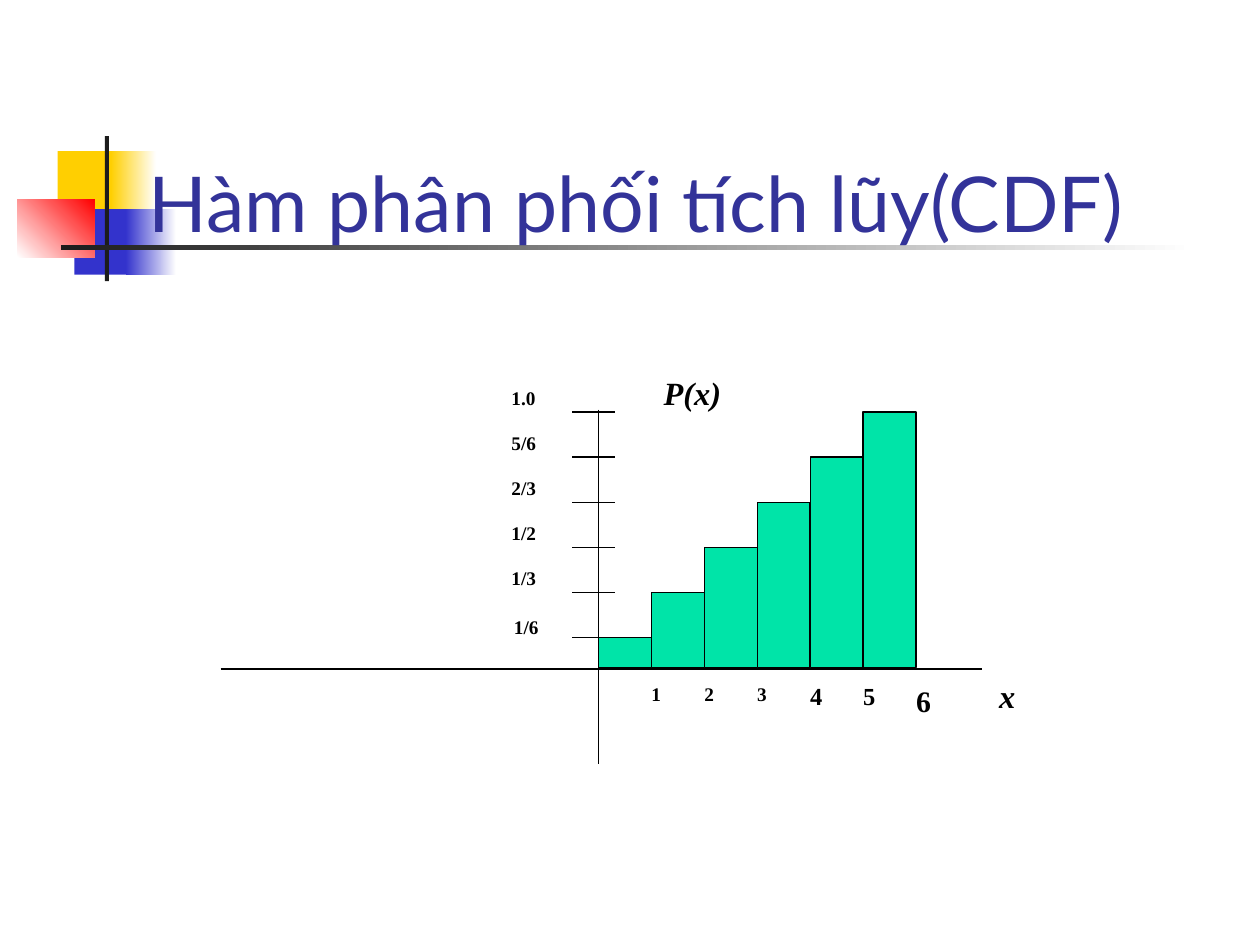
from lxml import etree
from pptx import Presentation
from pptx.dml.color import RGBColor
from pptx.enum.shapes import MSO_CONNECTOR, MSO_SHAPE
from pptx.enum.text import MSO_ANCHOR, PP_ALIGN
from pptx.oxml.ns import qn
from pptx.util import Pt

TITLE = "Hàm phân phối tích lũy(CDF)"
BLACK, GREEN = "000000", "00E4A8"
ORNAMENTS = [
    ((33, 86.4, 34.6, 37.4), ["FFCF01"], 0),
    ((63.4, 86.4, 25.9, 37.4), ["FFCF01", "FFFFFF"], 0),
    ((42.5, 119.5, 33.1, 37.4), ["3333CC"], 0),
    ((72, 119.5, 28.8, 37.4), ["3333CC", "FFFFFF"], 0),
    ((10, 113.8, 44, 33.1), ["FFFFFF", "FF0000"], 45),
    ((60, 77.8, 2.2, 82.8), ["1C1C1C"], 0),
    ((34.6, 140.2, 648, 2.6), ["1C1C1C", "FFFFFF"], 0),
]
STEPS = [
    {"value": "1", "size": 11, "chance": "1/6", "shift": (1.4, 2.2)},
    {"value": "2", "size": 11, "chance": "1/3", "shift": (0, 0)},
    {"value": "3", "size": 11, "chance": "1/2", "shift": (0, 0)},
    {"value": "4", "size": 14, "chance": "2/3", "shift": (0, 0)},
    {"value": "5", "size": 14, "chance": "5/6", "shift": (0, 0)},
    {"value": "6", "size": 17, "chance": "1.0", "shift": (0, 0)},
]
AXES = [(342, 234, 342, 436.5), (126, 382.3, 561, 382.3)]
AXIS_NAMES = [("x", (563.8, 385.2, 42.5, 31)), ("P(x)", (372.2, 212.4, 71.3, 31))]
ORIGIN_X, BASE_Y = 342, 381.6
BAR_WIDTH, FIRST_TOP, RISE = 30.24, 364.3, 25.78
TICK_LEFT, TICK_RIGHT = 327, 351.4
LABEL_LEFT, LABEL_LIFT, VALUE_TOP = 292.3, 12.2, 392.4


def color(code):
    return RGBColor.from_string(code)


def add_block(page, frame, fills, angle=0, outline=None):
    block = page.shapes.add_shape(MSO_SHAPE.RECTANGLE, *map(Pt, frame))
    block.shadow.inherit = False
    if len(fills) == 1:
        block.fill.solid()
        block.fill.fore_color.rgb = color(fills[0])
    else:
        block.fill.gradient()
        block.fill.gradient_angle = angle
        for stop, code in zip(block.fill.gradient_stops, fills):
            stop.color.rgb = color(code)
    if outline:
        block.line.color.rgb = color(outline)
        block.line.width = Pt(0.75)
    else:
        block.line.fill.background()


def add_line(page, ends):
    line = page.shapes.add_connector(MSO_CONNECTOR.STRAIGHT, *map(Pt, ends))
    line.line.color.rgb = color(BLACK)
    line.line.width = Pt(0.75)
    etree.SubElement(line.element.spPr, qn("a:effectLst"))


def write(box, text, code, **formats):
    para = box.text_frame.paragraphs[0]
    para.alignment = PP_ALIGN.LEFT
    span = para.add_run()
    span.text = text
    span.font.color.rgb = color(code)
    for name, value in formats.items():
        setattr(span.font, name, value)
    return para


def add_label(page, text, frame, size, inset=0, spacing=0.8, italic=False):
    box = page.shapes.add_textbox(*map(Pt, frame))
    margins = {"margin_left": inset, "margin_right": inset,
               "margin_top": inset / 2, "margin_bottom": inset / 2}
    for name, value in margins.items():
        setattr(box.text_frame, name, Pt(value))
    box.text_frame.word_wrap = True
    para = write(box, text, BLACK, name="Times New Roman", size=Pt(size),
                 bold=True, italic=italic)
    para.line_spacing = spacing


def add_title(page):
    title = page.shapes.title
    place = {"left": 77.8, "top": 30.2, "width": 668.2, "height": 115.2}
    for name, value in place.items():
        setattr(title, name, Pt(value))
    title.text_frame.vertical_anchor = MSO_ANCHOR.BOTTOM
    title.text_frame.word_wrap = True
    write(title, TITLE, "333399", name="Lato", size=Pt(44))
    title.element.getparent().append(title.element)


def add_distribution(page):
    tops = [FIRST_TOP - RISE * index for index in range(len(STEPS))]
    for index, top in enumerate(tops):
        left = ORIGIN_X + BAR_WIDTH * index
        add_block(page, (left, top, BAR_WIDTH, BASE_Y - top), [GREEN], outline=BLACK)
    for ends in AXES:
        add_line(page, ends)
    for text, frame in AXIS_NAMES:
        add_label(page, text, frame, 18.5, inset=7.2, spacing=0.9, italic=True)
    for index, (step, top) in enumerate(zip(STEPS, tops)):
        add_line(page, (TICK_LEFT, top, TICK_RIGHT, top))
        right, down = step["shift"]
        add_label(page, step["chance"],
                  (LABEL_LEFT + right, top - LABEL_LIFT + down, 31.7, 15.1), 11)
        size = step["size"]
        left = ORIGIN_X + BAR_WIDTH * (index + 1)
        add_label(page, step["value"], (left, VALUE_TOP, 13, size * 1.3), size,
                  spacing=0.9 if size > 14 else 0.8)


def main():
    deck = Presentation()
    deck.slide_width, deck.slide_height = Pt(720), Pt(540)
    page = deck.slides.add_slide(deck.slide_layouts[5])
    for frame, fills, angle in ORNAMENTS:
        add_block(page, frame, fills, angle)
    add_title(page)
    add_distribution(page)
    deck.save("out.pptx")


if __name__ == "__main__":
    main()
